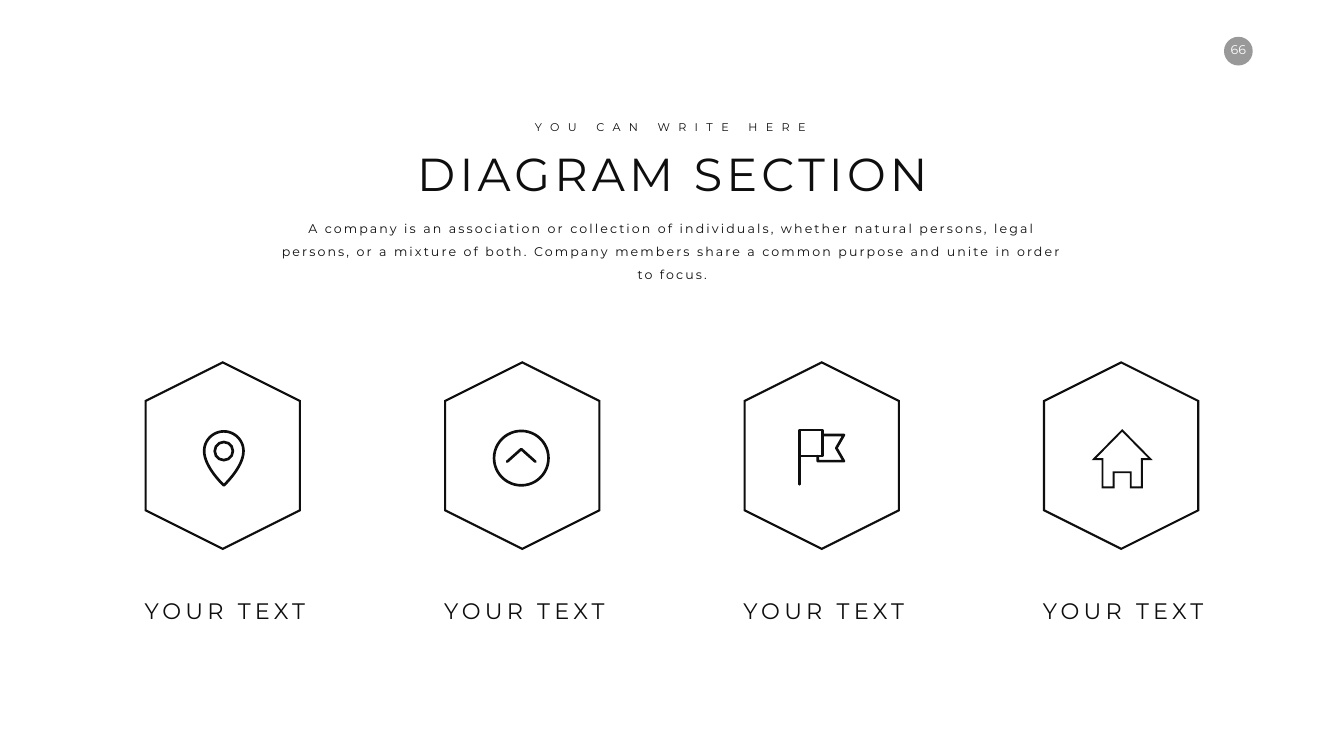
from dataclasses import dataclass

from lxml.etree import SubElement
from pptx import Presentation
from pptx.dml.color import RGBColor
from pptx.enum.shapes import MSO_SHAPE as Shape
from pptx.enum.text import MSO_ANCHOR as Anchor, MSO_AUTO_SIZE as AutoSize, PP_ALIGN as Align
from pptx.oxml.ns import qn
from pptx.util import Inches, Pt


@dataclass(frozen=True)
class Theme:
    font: str = "Montserrat"
    ink: RGBColor = RGBColor(0x0E, 0x0E, 0x0E)
    badge: RGBColor = RGBColor(0x99, 0x99, 0x99)
    white: RGBColor = RGBColor(0xFF, 0xFF, 0xFF)
    title: int = 66
    label: int = 32
    body: int = 18
    kicker: int = 16
    outline: float = 3
    house_line: float = 2.7
    icon_line: float = 3.8


THEME = Theme()
HEX_LENGTH, HEX_BREADTH = 3.7, 3.06
FIRST_CENTER, COLUMN_STEP, CENTER_Y = 4.42, 5.94, 9.04
LABELS = ["YOUR TEXT"] * 4


# Text
def write(shape, text, size, tracking=0, color=THEME.ink, wrap=False, spacing=None, **frame_format):
    frame = shape.text_frame
    frame_values = {"word_wrap": wrap, "auto_size": AutoSize.NONE,
                    "vertical_anchor": Anchor.TOP, **frame_format}
    for name, value in frame_values.items():
        setattr(frame, name, value)
    paragraph = frame.paragraphs[0]
    paragraph.alignment = Align.CENTER
    paragraph.line_spacing = spacing
    run = paragraph.add_run()
    run.text = text
    for name, value in {"name": THEME.font, "size": Pt(size), "bold": False}.items():
        setattr(run.font, name, value)
    run.font.color.rgb = color
    if tracking:
        run._r.get_or_add_rPr().set("spc", str(tracking * 100))


def add_text(slide, left, top, width, height, text, size, **text_format):
    box = slide.shapes.add_textbox(*map(Inches, (left, top, width, height)))
    write(box, text, size, **text_format)


# Outlines
def outline(shape, weight, rounded=False):
    shape.shadow.inherit = False
    shape.fill.background()
    shape.line.color.rgb = THEME.ink
    shape.line.width = Pt(weight)
    line = shape.line._get_or_add_ln()
    if rounded:
        line.set("cap", "rnd")
        SubElement(line, qn("a:round"))
    else:
        SubElement(line, qn("a:miter"), lim="800000")


def add_path(slide, center_x, points, weight=THEME.icon_line, closed=False, rounded=True):
    """Draw a path whose points are offsets from a hexagon's centre."""
    placed = [(Inches(center_x + x), Inches(CENTER_Y + y)) for x, y in points]
    builder = slide.shapes.build_freeform(*placed[0])
    builder.add_line_segments(placed[1:], close=closed)
    outline(builder.convert_to_shape(), weight, rounded)


def add_ring(slide, center_x, x, y, radius):
    ring = slide.shapes.add_shape(
        Shape.OVAL, Inches(center_x + x - radius), Inches(CENTER_Y + y - radius),
        Inches(2 * radius), Inches(2 * radius))
    outline(ring, THEME.icon_line)


def bezier(start, control_1, control_2, end, steps=16):
    def at(t):
        weights = ((1 - t) ** 3, 3 * t * (1 - t) ** 2, 3 * t * t * (1 - t), t ** 3)
        corners = (start, control_1, control_2, end)
        return tuple(sum(w * c[axis] for w, c in zip(weights, corners)) for axis in (0, 1))
    return [at(step / steps) for step in range(steps + 1)]


# Icons
def add_pin(slide, center_x):
    middle = center_x + 0.02
    left_half = (bezier((0, 0.59), (0, 0.59), (-0.39, 0.23), (-0.39, -0.09))
                 + bezier((-0.39, -0.09), (-0.39, -0.31), (-0.21, -0.48), (0, -0.48))[1:])
    right_half = [(-x, y) for x, y in reversed(left_half[1:-1])]
    add_path(slide, middle, left_half + right_half, closed=True)
    add_ring(slide, middle, 0, -0.09, 0.18)


def add_up_arrow(slide, center_x):
    add_ring(slide, center_x, -0.02, 0.05, 0.54)
    add_path(slide, center_x, [(-0.3, 0.12), (-0.02, -0.13), (0.26, 0.12)])


def add_flag(slide, center_x):
    add_path(slide, center_x, [(-0.44, 0.57), (-0.44, -0.51), (0.02, -0.51),
                               (0.02, 0.01), (-0.44, 0.01)])
    add_path(slide, center_x, [(0.02, -0.41), (0.44, -0.41), (0.29, -0.15),
                               (0.44, 0.11), (-0.08, 0.11), (-0.08, 0.01)])


def add_house(slide, center_x):
    left_half = [(0, -0.5), (-0.56, 0.07), (-0.39, 0.07), (-0.39, 0.63),
                 (-0.17, 0.63), (-0.17, 0.33)]
    right_half = [(-x, y) for x, y in reversed(left_half[1:])]
    add_path(slide, center_x + 0.02, left_half + right_half, THEME.house_line,
             closed=True, rounded=False)


# Slide parts
def add_page_badge(slide):
    badge = slide.shapes.add_shape(Shape.OVAL, *map(Inches, (24.28, 0.73, 0.57, 0.57)))
    badge.shadow.inherit = False
    badge.fill.solid()
    badge.fill.fore_color.rgb = THEME.badge
    badge.line.fill.background()
    write(badge, "66", THEME.body, color=THEME.white, vertical_anchor=Anchor.MIDDLE,
          margin_left=0, margin_right=0, margin_top=0, margin_bottom=Inches(0.06))


def add_heading(slide):
    title = slide.shapes.title
    place = {"left": 8.14, "top": 2.84, "width": 10.41, "height": 1.21}
    for name, value in place.items():
        setattr(title, name, Inches(value))
    write(title, "DIAGRAM SECTION", THEME.title, tracking=6)
    add_text(slide, 10.41, 2.34, 5.78, 0.37, "YOU CAN WRITE HERE", THEME.kicker, tracking=12)
    add_text(slide, 5.32, 4.19, 16.03, 1.5,
             "A company is an association or collection of individuals, whether natural "
             "persons, legal persons, or a mixture of both. Company members share a common "
             "purpose and unite in order to focus.",
             THEME.body, tracking=3, wrap=True, spacing=1.5)


def add_column(slide, center_x, add_icon, label):
    hexagon = slide.shapes.add_shape(
        Shape.HEXAGON, Inches(center_x - HEX_LENGTH / 2), Inches(CENTER_Y - HEX_BREADTH / 2),
        Inches(HEX_LENGTH), Inches(HEX_BREADTH))
    hexagon.rotation = 270
    outline(hexagon, THEME.outline)
    add_icon(slide, center_x)
    add_text(slide, center_x - 1.72, 11.8, 3.52, 0.64, label, THEME.label, tracking=6)


def main():
    deck = Presentation()
    deck.slide_width, deck.slide_height = Inches(26.66), Inches(15)
    slide = deck.slides.add_slide(deck.slide_layouts[5])
    add_page_badge(slide)
    add_heading(slide)
    icons = (add_pin, add_up_arrow, add_flag, add_house)
    for column, (add_icon, label) in enumerate(zip(icons, LABELS)):
        add_column(slide, FIRST_CENTER + column * COLUMN_STEP, add_icon, label)
    deck.save("out.pptx")


if __name__ == "__main__":
    main()
